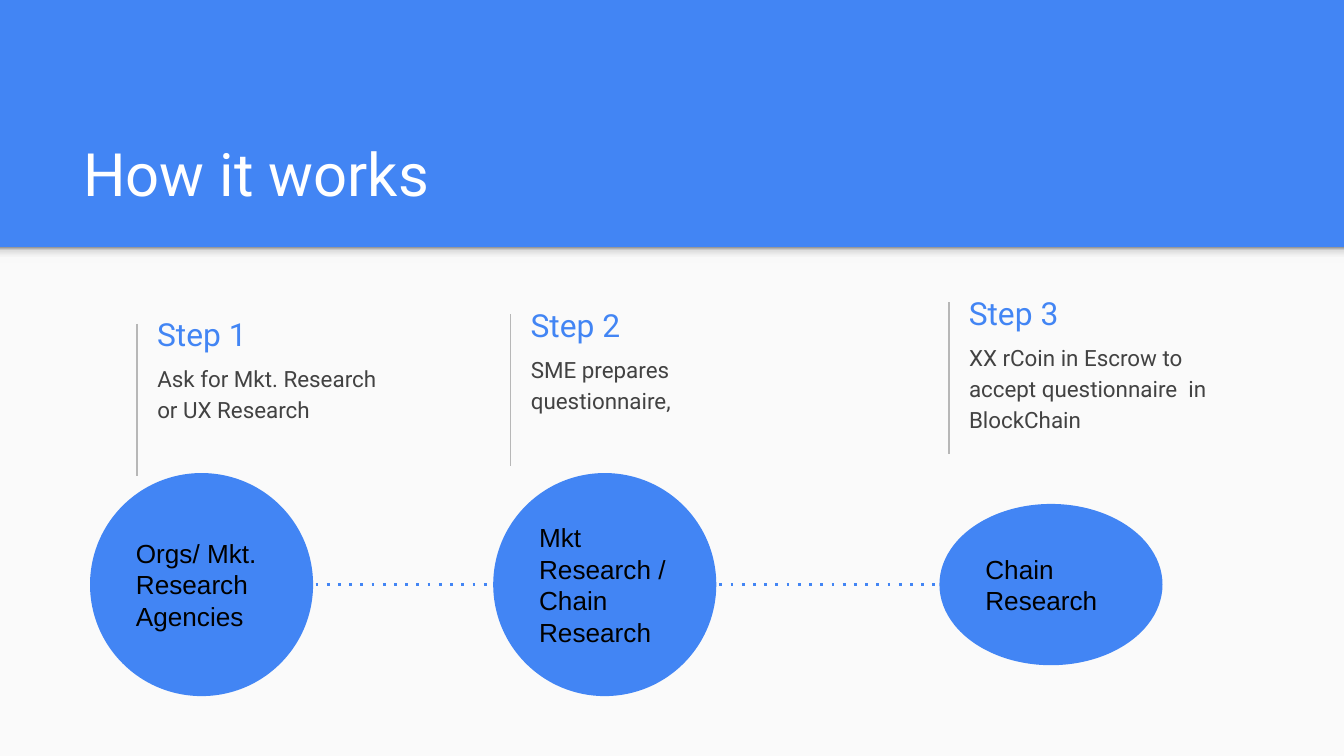
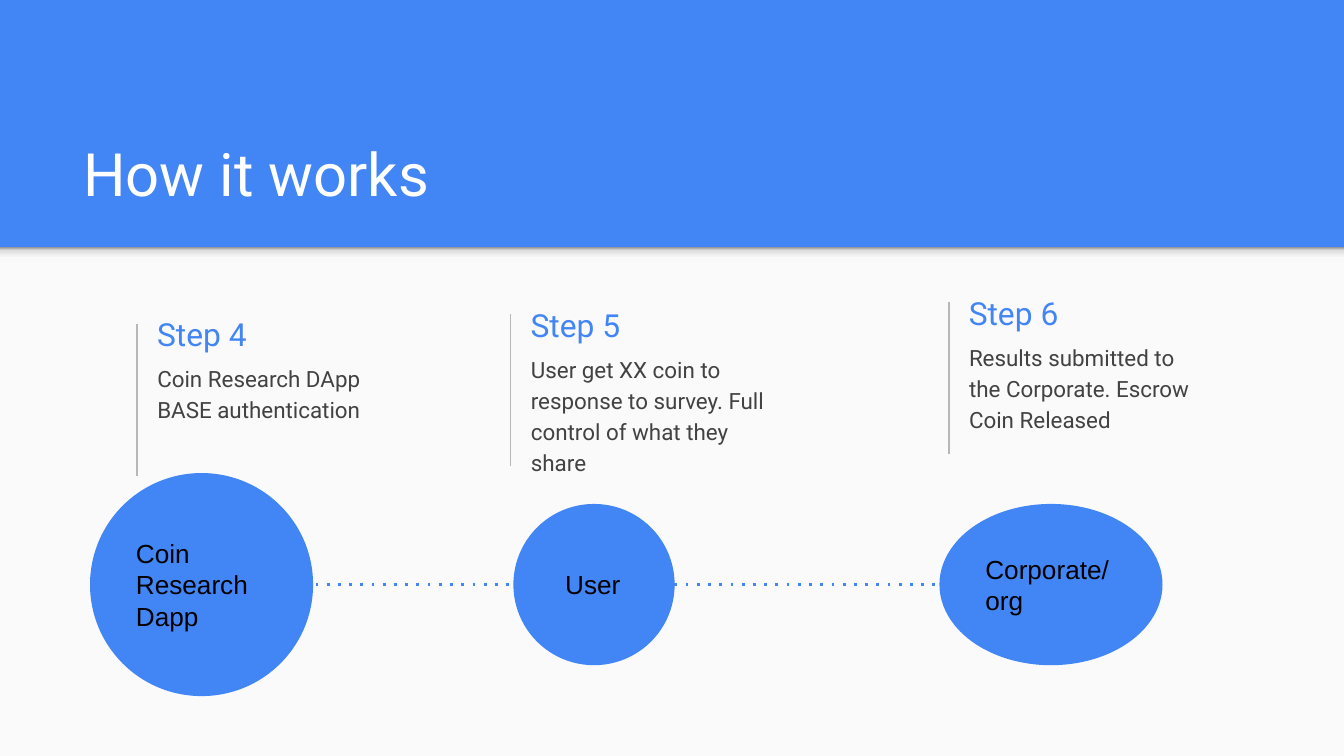
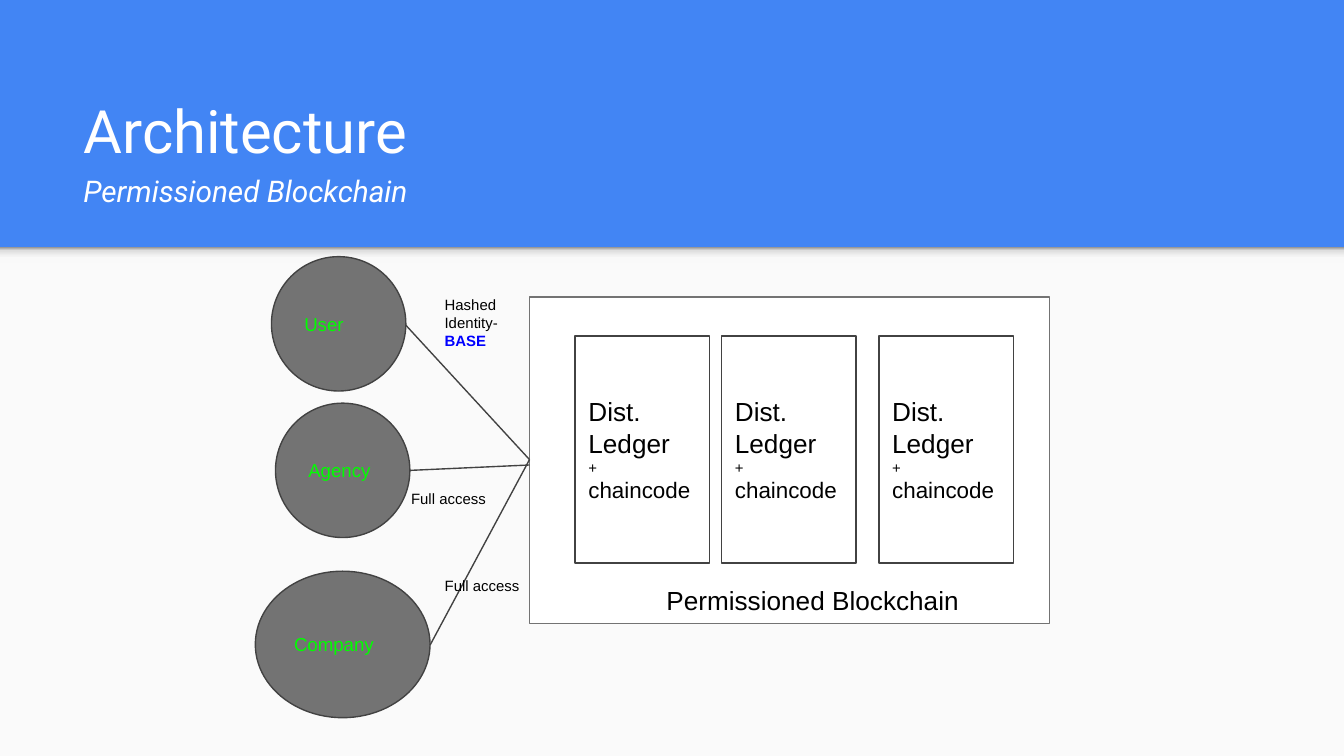
import pptx
import pptx.util
import pptx.dml.color
import pptx.enum.shapes
import pptx.enum.text
import pptx.oxml.ns
import lxml.etree

Inches = pptx.util.Inches
Pt = pptx.util.Pt
qn = pptx.oxml.ns.qn
SHAPE = pptx.enum.shapes.MSO_SHAPE
ANCHOR = pptx.enum.text.MSO_ANCHOR

COLORS = {
    "blue": "4285F4", "panel": "FAFAFA", "white": "FFFFFF", "black": "000000",
    "rule": "B7B7B7", "dark": "424242", "grey": "737373", "green": "00FF00",
    "link": "0000FF",
}
BAND_SHADOW = [(0, "F9F9F9"), (36, "F9F9F9"), (80, "DEDEDE"), (100, "999999")]
BAND_BOTTOM = 1.84
WIDTH = 10
HEIGHT = WIDTH * 9 / 16

# Each step column: rule x, heading top
STEP_COLUMNS = [(1.02, 2.27), (3.8, 2.2), (7.06, 2.11)]
RULE_HEIGHT = 1.13
FLOW_Y = 4.35


def rgb(name):
    return pptx.dml.color.RGBColor.from_string(COLORS[name])


def place(s, x, y, w, h):
    s.left, s.top, s.width, s.height = (Inches(v) for v in (x, y, w, h))


def write(tf, text, sizes, color, font="Arial", anchor=ANCHOR.TOP):
    """Fill a frame; sizes holds one point size for each paragraph."""
    tf.text = text
    tf.word_wrap = True
    tf.auto_size = pptx.enum.text.MSO_AUTO_SIZE.NONE
    tf.vertical_anchor = anchor
    tf.margin_left = tf.margin_right = Inches(0.1)
    tf.margin_top = tf.margin_bottom = Inches(0.1)
    for p, size in zip(tf.paragraphs, sizes):
        p.alignment = pptx.enum.text.PP_ALIGN.LEFT
        p.space_before = Pt(0)
        for r in p.runs:
            r.font.size = Pt(size)
            r.font.name = font
            r.font.bold = False
            r.font.color.rgb = rgb(color)


def add_shape(slide, kind, box, fill, line=None):
    sp = slide.shapes.add_shape(kind, *(Inches(v) for v in box))
    sp.shadow.inherit = False
    sp.fill.solid()
    sp.fill.fore_color.rgb = rgb(fill)
    if line:
        sp.line.color.rgb = rgb(line)
        sp.line.width = Pt(0.75)
    else:
        sp.line.fill.background()
    return sp


def add_line(slide, start, end, color, width=0.75, dash=None):
    c = slide.shapes.add_connector(
        pptx.enum.shapes.MSO_CONNECTOR.STRAIGHT,
        *(Inches(v) for v in start + end))
    c.line.color.rgb = rgb(color)
    c.line.width = Pt(width)
    spPr = c._element.spPr
    if dash:
        lxml.etree.SubElement(spPr.find(qn("a:ln")), qn("a:prstDash"), val=dash)
    lxml.etree.SubElement(spPr, qn("a:effectLst"))


def add_label(slide, box, text, size, color="black", font="Arial",
              anchor=ANCHOR.TOP):
    s = slide.shapes.add_textbox(*(Inches(v) for v in box))
    write(s.text_frame, text, [size], color, font, anchor)
    return s


def add_node(slide, box, text, size=14, fill="blue", color="black", line=None):
    sp = add_shape(slide, SHAPE.OVAL, box, fill, line)
    write(sp.text_frame, text, [size], color, anchor=ANCHOR.MIDDLE)
    return sp


def add_base_slide(prs, layout, title):
    """Slide with the blue band, light panel, band shadow and title."""
    slide = prs.slides.add_slide(prs.slide_layouts.get_by_name(layout))
    panel = add_shape(slide, SHAPE.RECTANGLE,
                      (0, BAND_BOTTOM, WIDTH, HEIGHT - BAND_BOTTOM), "panel")
    shadow = add_shape(slide, SHAPE.RECTANGLE,
                       (0, BAND_BOTTOM, WIDTH, 0.12), "panel")
    shadow.fill.gradient()
    shadow.fill.gradient_angle = 90
    stops = shadow._element.spPr.find(qn("a:gradFill")).find(qn("a:gsLst"))
    for stop in list(stops):
        stops.remove(stop)
    for pos, color in BAND_SHADOW:
        gs = lxml.etree.SubElement(stops, qn("a:gs"), pos=str(pos * 1000))
        lxml.etree.SubElement(gs, qn("a:srgbClr"), val=color)
    # Send both behind the placeholders
    for depth, sp in enumerate((panel, shadow), 2):
        slide.shapes._spTree.insert(depth, sp._element)

    place(slide.shapes.title, 0.52, 0.81, 8.99, 0.84)
    write(slide.shapes.title.text_frame, title, [32, 16], "white", "Roboto",
          ANCHOR.BOTTOM)
    return slide


def add_step(slide, column, body, heading, text):
    x, y = column
    rule_y = y + 0.14
    add_line(slide, (x, rule_y), (x, rule_y + RULE_HEIGHT), "rule")
    add_label(slide, (x + 0.05, y, 1.98, 0.43), heading, 17, "blue",
              "Roboto", ANCHOR.MIDDLE)
    place(body, x + 0.05, y + 0.32, 1.98, 0.63)
    write(body.text_frame, text, [12], "dark", "Roboto")
    p = body.text_frame.paragraphs[0]
    p.line_spacing = 1.15
    pPr = p._p.get_or_add_pPr()
    pPr.set("marL", "0")
    pPr.set("indent", "0")
    lxml.etree.SubElement(pPr, qn("a:buNone"))


def add_steps_slide(prs, first_step, texts, nodes):
    slide = add_base_slide(prs, "Comparison", "How it works")
    *bodies, spare = list(slide.placeholders)[1:]
    spare._element.getparent().remove(spare._element)
    for i, (column, body, text) in enumerate(zip(STEP_COLUMNS, bodies, texts)):
        add_step(slide, column, body, f"Step {first_step + i}", text)
    add_line(slide, (1.68, FLOW_Y), (7, FLOW_Y), "blue", 1.5, "dot")
    return [add_node(slide, (x, FLOW_Y - h / 2, w, h), text)
            for x, w, h, text in nodes]


def add_ledger(slide, x):
    sp = add_shape(slide, SHAPE.FLOWCHART_PROCESS, (x, 2.5, 1, 1.69),
                   "white", "dark")
    write(sp.text_frame, "Dist.\nLedger\n+\nchaincode", [14, 14, 8, 12],
          "black", anchor=ANCHOR.MIDDLE)


def add_architecture_slide(prs):
    slide = add_base_slide(prs, "Title Only",
                           "Architecture\nPermissioned Blockchain")
    subtitle = slide.shapes.title.text_frame.paragraphs[1]
    subtitle.space_before = subtitle.space_after = Pt(4)
    subtitle.runs[0].font.italic = True

    # Participants
    for box, text in [((2.05, 3, 1, 1), "Agency"),
                      ((1.9, 4.25, 1.3, 1.09), "Company"),
                      ((2.02, 1.91, 1, 1), "User")]:
        add_node(slide, box, text, 10, "grey", "green", "dark")

    # Blockchain and its ledgers
    add_shape(slide, SHAPE.FLOWCHART_PROCESS, (3.94, 2.21, 3.87, 2.43),
              "white", "grey")
    for x in (4.28, 5.37, 6.54):
        add_ledger(slide, x)
    add_label(slide, (4.86, 4.25, 3.24, 0.38), "Permissioned Blockchain", 14)

    # Access links
    for start, end_y in [((3.02, 2.42), 3.42), ((3.05, 3.5), 3.46),
                         ((3.2, 4.8), 3.42)]:
        add_line(slide, start, (3.94, end_y), "dark")
    for x, y in [(2.96, 3.54), (3.21, 4.19)]:
        add_label(slide, (x, y, 0.82, 0.3), "Full access", 8)
    identity = add_label(slide, (3.21, 2.1, 0.89, 0.55), "Hashed Identity- ", 8)
    r = identity.text_frame.paragraphs[0].add_run()
    r.text = "BASE"
    r.font.size = Pt(8)
    r.font.name = "Arial"
    r.font.bold = True
    r.font.color.rgb = rgb("link")


def main():
    prs = pptx.Presentation()
    prs.slide_width, prs.slide_height = Inches(WIDTH), Inches(HEIGHT)
    background = prs.slide_master.background.fill
    background.solid()
    background.fore_color.rgb = rgb("blue")

    add_steps_slide(
        prs, 1,
        ["Ask for Mkt. Research or UX Research",
         "SME prepares questionnaire,",
         "XX rCoin in Escrow to accept questionnaire  in BlockChain"],
        [(0.67, 1.66, 1.66, "Orgs/ Mkt. Research Agencies"),
         (3.67, 1.66, 1.66, "Mkt Research / Chain Research"),
         (6.99, 1.66, 1.2, "Chain Research")])
    nodes = add_steps_slide(
        prs, 4,
        ["Coin Research DApp BASE authentication",
         "User get XX coin to response to survey. Full control of what they share",
         "Results submitted to the Corporate. Escrow Coin Released"],
        [(0.67, 1.66, 1.66, "Coin Research Dapp"),
         (3.82, 1.2, 1.2, "User"),
         (6.99, 1.66, 1.2, "Corporate/org")])
    nodes[1].text_frame.margin_left = Inches(0.21)
    add_architecture_slide(prs)
    prs.save("out.pptx")


if __name__ == "__main__":
    main()
